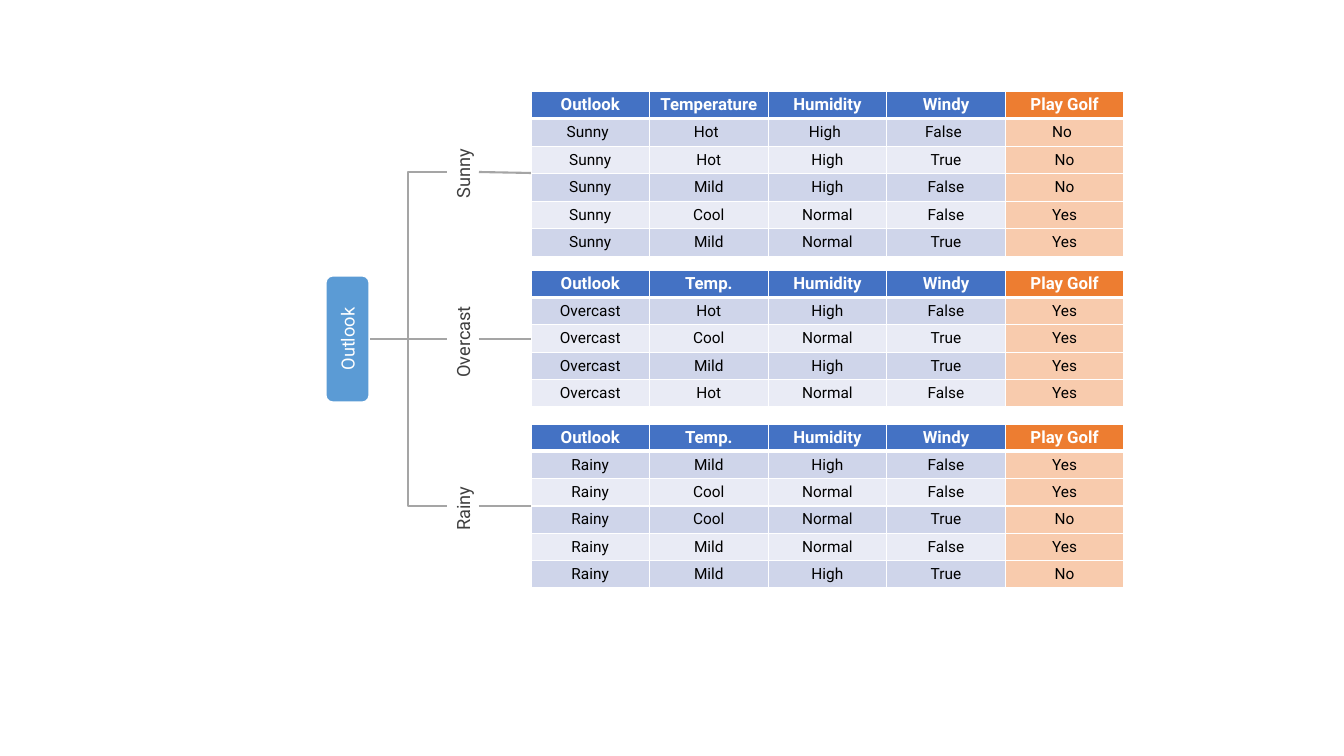
from dataclasses import dataclass

from lxml.etree import SubElement
from pptx import Presentation
from pptx.dml.color import RGBColor
from pptx.enum.shapes import MSO_CONNECTOR, MSO_SHAPE
from pptx.enum.text import MSO_ANCHOR, MSO_AUTO_SIZE, PP_ALIGN
from pptx.oxml.ns import qn
from pptx.util import Pt


@dataclass(frozen=True)
class Theme:
    font: str = "Roboto"
    white: str = "FFFFFF"
    black: str = "000000"
    label: str = "404040"
    line: str = "A5A5A5"
    node: str = "5B9BD5"
    header: str = "4472C4"
    target_header: str = "ED7D31"
    target: str = "F8CBAD"
    bands: tuple = ("CFD5EA", "E9EBF5")
    header_size: int = 12
    cell_size: int = 11
    label_size: int = 13
    line_width: float = 1.5


theme = Theme()
PIXEL = 914400 / 100.8


def lengths(*pixels):
    return [round(value * PIXEL) for value in pixels]


def write(frame, text, size=theme.label_size, color=theme.white, bold=False,
          align=PP_ALIGN.CENTER, anchor=MSO_ANCHOR.MIDDLE):
    frame.vertical_anchor = anchor
    para = frame.paragraphs[0]
    para.alignment = align
    span = para.add_run()
    span.text = text
    span.font.name = theme.font
    span.font.size = Pt(size)
    span.font.bold = bold
    span.font.color.rgb = RGBColor.from_string(color)


deck = Presentation()
deck.slide_width, deck.slide_height = lengths(1344, 756)
page = deck.slides.add_slide(deck.slide_layouts[6])

branches = [
    ("Sunny", "Temperature", 91, 165, 73, 172, 173, [
        "Hot High False No",
        "Hot High True No",
        "Mild High False No",
        "Cool Normal False Yes",
        "Mild Normal True Yes",
    ]),
    ("Overcast", "Temp.", 270, 137, 97, 339, 339, [
        "Hot High False Yes",
        "Cool Normal True Yes",
        "Mild High True Yes",
        "Hot Normal False Yes",
    ]),
    ("Rainy", "Temp.", 424, 164, 69, 506, 506, [
        "Mild High False Yes",
        "Cool Normal False Yes",
        "Cool Normal True No",
        "Mild Normal False Yes",
        "Mild High True No",
    ]),
]
table_left, table_width, column_count = 531, 593, 5
node_right, node_middle = 370, 339
label_left, label_middle, label_right, label_height = 447, 463, 479, 32

for outlook, temperature, top, height, _, _, _, days in branches:
    rows = [["Outlook", temperature, "Humidity", "Windy", "Play Golf"]]
    rows += [[outlook, *day.split()] for day in days]
    table = page.shapes.add_table(len(rows), column_count,
                                  *lengths(table_left, top, table_width, height)).table
    for column in table.columns:
        column.width = round(table_width * PIXEL / column_count)
    for row_index, values in enumerate(rows):
        is_header = row_index == 0
        table.rows[row_index].height = round(height * PIXEL / len(rows))
        wide_padding = outlook == "Sunny" and row_index == 1
        margins = lengths(*((5, 5, 10, 5) if wide_padding else (7, 3, 7, 3)))
        for column_index, text in enumerate(values):
            cell = table.cell(row_index, column_index)
            cell.margin_left, cell.margin_top, cell.margin_right, cell.margin_bottom = margins
            write(cell.text_frame, text,
                  size=theme.header_size if is_header else theme.cell_size,
                  color=theme.white if is_header else theme.black, bold=is_header)
            cell.vertical_anchor = MSO_ANCHOR.MIDDLE
            properties = cell._tc.get_or_add_tcPr()
            for side in ("lnL", "lnR", "lnT", "lnB"):
                thick = (row_index, side) in ((0, "lnB"), (1, "lnT"))
                border = SubElement(properties, qn("a:" + side), w=str(Pt(3 if thick else 1)))
                paint = SubElement(border, qn("a:solidFill"))
                SubElement(paint, qn("a:srgbClr"), val=theme.white)
            if column_index == column_count - 1:
                color = theme.target_header if is_header else theme.target
            else:
                color = theme.header if is_header else theme.bands[(row_index - 1) % 2]
            cell.fill.solid()
            cell.fill.fore_color.rgb = RGBColor.from_string(color)

node = page.shapes.add_shape(MSO_SHAPE.ROUNDED_RECTANGLE, *lengths(284, 317, 127, 44))
node.rotation = 270
node.shadow.inherit = False
node.fill.solid()
node.fill.fore_color.rgb = RGBColor.from_string(theme.node)
node.line.color.rgb = RGBColor.from_string(theme.white)
node.line.width = Pt(theme.line_width)
write(node.text_frame, "Outlook")

for outlook, _, _, _, width, middle, table_middle, _ in branches:
    box = page.shapes.add_textbox(*lengths(label_middle - width / 2, middle - label_height / 2,
                                           width, label_height))
    box.rotation = 270
    box.text_frame.word_wrap = False
    box.text_frame.auto_size = MSO_AUTO_SIZE.SHAPE_TO_FIT_TEXT
    write(box.text_frame, outlook, color=theme.label, align=PP_ALIGN.LEFT, anchor=MSO_ANCHOR.TOP)
    for kind, ends in (
        (MSO_CONNECTOR.ELBOW, (label_left, middle, node_right, node_middle)),
        (MSO_CONNECTOR.STRAIGHT, (label_right, middle, table_left, table_middle)),
    ):
        connector = page.shapes.add_connector(kind, *lengths(*ends))
        connector.line.color.rgb = RGBColor.from_string(theme.line)
        connector.line.width = Pt(theme.line_width)
        SubElement(connector.element.spPr, qn("a:effectLst"))

deck.save("out.pptx")
